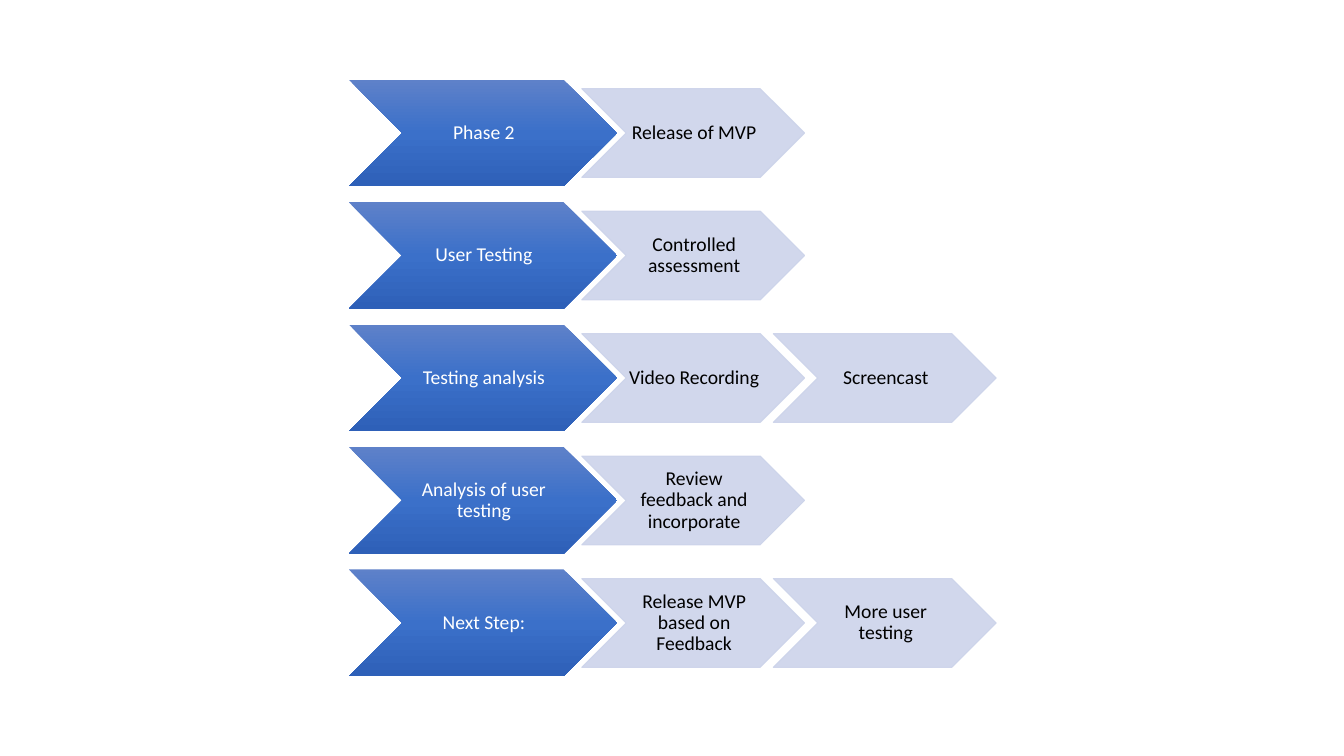
from copy import deepcopy
from dataclasses import dataclass

from pptx import Presentation
from pptx.dml.color import RGBColor
from pptx.enum.shapes import MSO_SHAPE as Preset
from pptx.enum.text import MSO_ANCHOR as Anchor, PP_ALIGN as Align
from pptx.oxml.ns import qn
from pptx.util import Inches, Pt


@dataclass(frozen=True)
class Theme:
    font: str = "Calibri"
    text_size: int = 14
    line_spacing: float = 0.9
    gradient: tuple = ((0, "5E81C9"), (0.5, "3B70C9"), (1, "2E60B8"))
    detail_fill: str = "CCD3EA"
    detail_alpha: int = 90
    phase_text: str = "FFFFFF"
    detail_text: str = "000000"


# Each row: a phase followed by its details
ROWS = [
    ("Phase 2", ["Release of MVP"]),
    ("User Testing", ["Controlled assessment"]),
    ("Testing analysis", ["Video Recording", "Screencast"]),
    ("Analysis of user testing", ["Review feedback and incorporate"]),
    ("Next Step:", ["Release MVP based on Feedback", "More user testing"]),
]

# Layout in inches
FIRST_CENTER, LAST_CENTER = 1.32, 6.18
ROW_PITCH = (LAST_CENTER - FIRST_CENTER) / (len(ROWS) - 1)
PHASE_LEFT, PHASE_WIDTH, PHASE_HEIGHT = 3.46, 2.66, 1.06
DETAIL_LEFT, DETAIL_WIDTH, DETAIL_HEIGHT = 5.77, 2.21, 0.88
DETAIL_PITCH = 1.9


class ProcessSlide:
    def __init__(self, slide, theme):
        self.slide = slide
        self.theme = theme

    def chevron(self, text, left, center, width, height, text_color):
        shape = self.slide.shapes.add_shape(
            Preset.CHEVRON, Inches(left), Inches(center - height / 2),
            Inches(width), Inches(height))
        shape.shadow.inherit = False
        frame = shape.text_frame
        frame.text = text
        frame.word_wrap = True
        frame.vertical_anchor = Anchor.MIDDLE
        frame.margin_left, frame.margin_right = Inches(0.02), 0
        frame.margin_top = frame.margin_bottom = Inches(0.01)
        paragraph = frame.paragraphs[0]
        paragraph.alignment = Align.CENTER
        paragraph.line_spacing = self.theme.line_spacing
        font = paragraph.runs[0].font
        font.name = self.theme.font
        font.size = Pt(self.theme.text_size)
        font.color.rgb = RGBColor.from_string(text_color)
        return shape

    def phase(self, text, center):
        shape = self.chevron(text, PHASE_LEFT, center, PHASE_WIDTH,
                             PHASE_HEIGHT, self.theme.phase_text)
        shape.line.fill.background()
        shape.fill.gradient()
        shape.fill.gradient_angle = 270  # top to bottom
        # The default gradient has two stops; add the third
        stop_list = next(shape.element.iter(qn("a:gsLst")))
        stop_list.append(deepcopy(stop_list[0]))
        for stop, (position, color) in zip(shape.fill.gradient_stops,
                                           self.theme.gradient):
            stop.position = position
            stop.color.rgb = RGBColor.from_string(color)

    def detail(self, text, column, center):
        shape = self.chevron(text, DETAIL_LEFT + column * DETAIL_PITCH, center,
                             DETAIL_WIDTH, DETAIL_HEIGHT,
                             self.theme.detail_text)
        shape.line.width = Pt(0.75)
        for fill in (shape.fill, shape.line.fill):
            fill.solid()
            fill.fore_color.rgb = RGBColor.from_string(self.theme.detail_fill)
        # Slight transparency on both fill and outline
        for color in shape.element.spPr.iter(qn("a:srgbClr")):
            alpha = color.makeelement(
                qn("a:alpha"), {"val": str(self.theme.detail_alpha * 1000)})
            color.append(alpha)


def main():
    presentation = Presentation()
    presentation.slide_width = Inches(13.33)
    presentation.slide_height = Inches(7.5)
    blank_layout = presentation.slide_layouts[6]
    process = ProcessSlide(presentation.slides.add_slide(blank_layout), Theme())

    # Phase rows
    for row, (phase, details) in enumerate(ROWS):
        center = FIRST_CENTER + row * ROW_PITCH
        process.phase(phase, center)
        for column, detail in enumerate(details):
            process.detail(detail, column, center)

    presentation.save("out.pptx")


if __name__ == "__main__":
    main()
